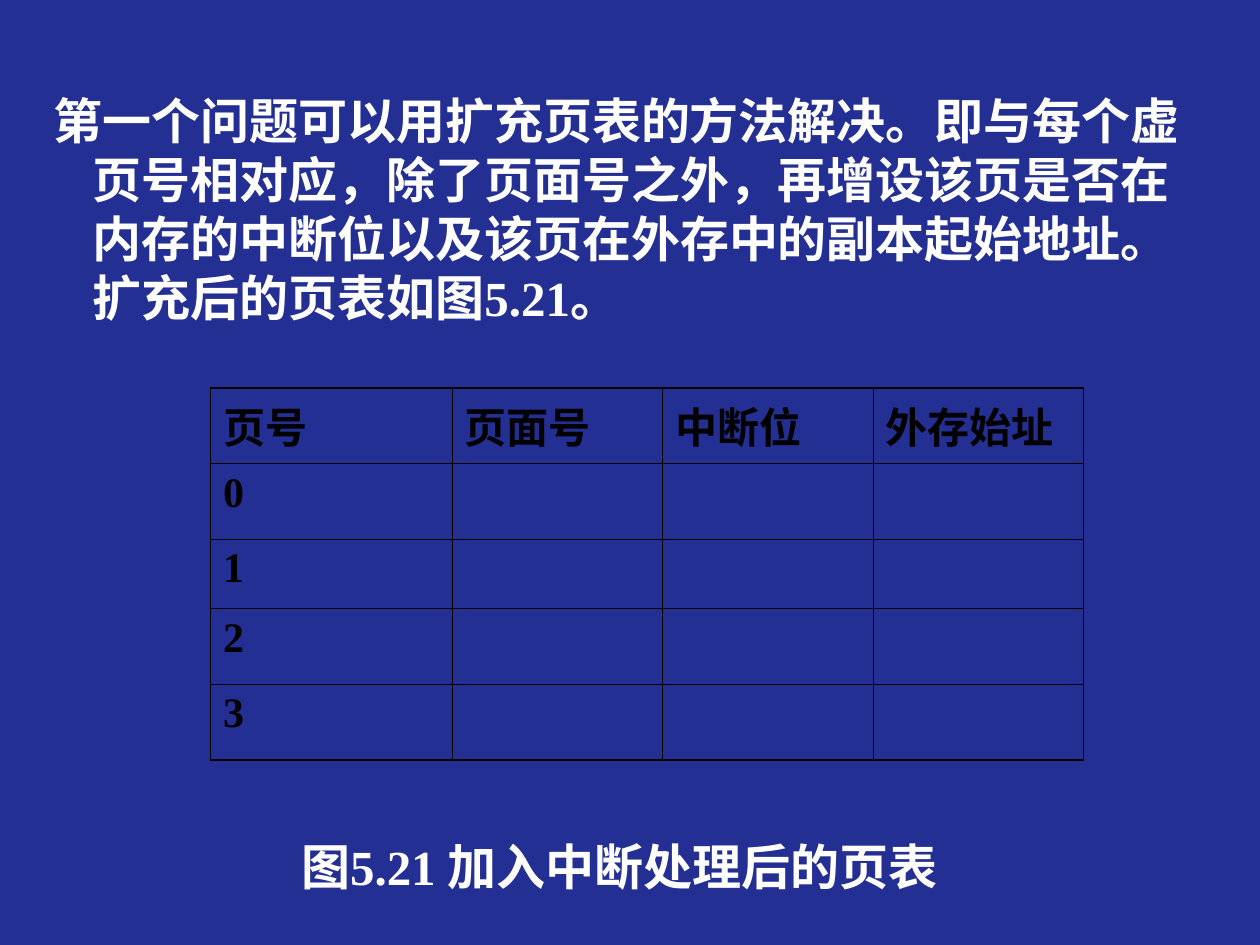
from dataclasses import dataclass

from lxml import etree
from pptx import Presentation
from pptx.dml.color import RGBColor
from pptx.enum.text import PP_ALIGN
from pptx.oxml.ns import qn
from pptx.util import Inches, Pt

LEFT, CENTER = PP_ALIGN.LEFT, PP_ALIGN.CENTER
COLORS = {"background": "242F94", "text": "FFFFFF", "table": "000000"}
FONT = "Times New Roman"
BLANK_LAYOUT = 6
OUTER_BORDER, INNER_BORDER = Pt(1.08), Pt(0.45)

HEADERS = ["页号", "页面号", "中断位", "外存始址"]
PAGE_NUMBERS = ["0", "1", "2", "3"]
COLUMN_WIDTHS = [1.92, 1.67, 1.67, 1.67]
ROW_HEIGHTS = [0.6, 0.6, 0.55, 0.6, 0.6]


@dataclass
class TextBlock:
    text: str
    top: float
    height: float
    alignment: PP_ALIGN
    hanging: float = 0


TEXT_BLOCKS = [
    TextBlock(
        "第一个问题可以用扩充页表的方法解决。即与每个虚页号相对应，"
        "除了页面号之外，再增设该页是否在内存的中断位以及该页在外存中的"
        "副本起始地址。扩充后的页表如图5.21。",
        0.67, 2, LEFT, 0.31,
    ),
    TextBlock("图5.21 加入中断处理后的页表", 6.59, 0.57, CENTER),
]


def format_paragraph(paragraph, size: int, color: str, space_before: int) -> None:
    paragraph.space_before = Pt(space_before)
    font_format = {"name": FONT, "size": Pt(size), "bold": True}
    for run in paragraph.runs:
        for name, value in font_format.items():
            setattr(run.font, name, value)
        run.font.color.rgb = RGBColor.from_string(COLORS[color])


def add_text_block(slide, block: TextBlock) -> None:
    shape = slide.shapes.add_textbox(
        Inches(0.33), Inches(block.top), Inches(9.17), Inches(block.height)
    )
    shape.text_frame.word_wrap = True
    paragraph = shape.text_frame.paragraphs[0]
    paragraph.text = block.text
    paragraph.alignment = block.alignment
    format_paragraph(paragraph, 28, "text", 7)
    properties = paragraph._p.get_or_add_pPr()
    properties.set("marL", str(Inches(block.hanging)))
    properties.set("indent", str(-Inches(block.hanging)))


def set_borders(cell, outer_edges: dict[str, bool]) -> None:
    """Draw the cell's four borders, heavier on the table's outer edges."""
    properties = cell._tc.get_or_add_tcPr()
    for position, (tag, is_outer) in enumerate(outer_edges.items()):
        line = etree.Element(qn(f"a:{tag}"))
        line.set("w", str(OUTER_BORDER if is_outer else INNER_BORDER))
        fill = etree.SubElement(line, qn("a:solidFill"))
        etree.SubElement(fill, qn("a:srgbClr")).set("val", COLORS["table"])
        properties.insert(position, line)


def add_page_table(slide) -> None:
    rows = [HEADERS] + [[number, "", "", ""] for number in PAGE_NUMBERS]
    table = slide.shapes.add_table(
        len(rows), len(HEADERS), Inches(1.67), Inches(3.08),
        Inches(sum(COLUMN_WIDTHS)), Inches(sum(ROW_HEIGHTS)),
    ).table
    table.first_row = table.horz_banding = False
    for column, width in zip(table.columns, COLUMN_WIDTHS):
        column.width = Inches(width)
    for row, height in zip(table.rows, ROW_HEIGHTS):
        row.height = Inches(height)
    last_row, last_column = len(rows) - 1, len(HEADERS) - 1
    for i, texts in enumerate(rows):
        for j, text in enumerate(texts):
            cell = table.cell(i, j)
            cell.fill.background()
            cell.text = text
            format_paragraph(cell.text_frame.paragraphs[0], 24, "table", 6)
            set_borders(cell, {
                "lnL": j == 0, "lnR": j == last_column,
                "lnT": i == 0, "lnB": i == last_row,
            })


def main() -> None:
    presentation = Presentation()
    presentation.slide_width, presentation.slide_height = Inches(10), Inches(7.5)
    slide = presentation.slides.add_slide(presentation.slide_layouts[BLANK_LAYOUT])
    background = slide.background.fill
    background.solid()
    background.fore_color.rgb = RGBColor.from_string(COLORS["background"])
    for block in TEXT_BLOCKS:
        add_text_block(slide, block)
    add_page_table(slide)
    presentation.save("out.pptx")


if __name__ == "__main__":
    main()
